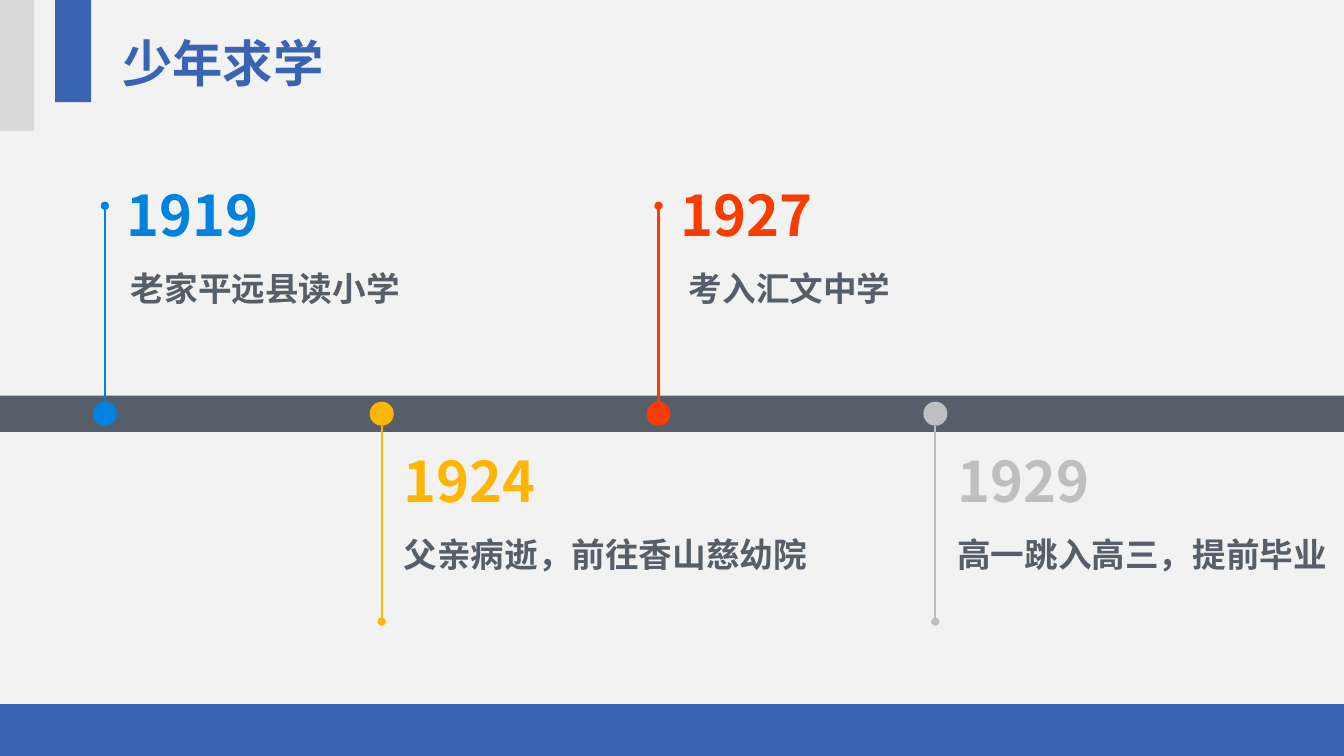
"""Build a one-slide timeline of school years."""
import pptx
import pptx.dml.color
import pptx.enum.shapes
import pptx.enum.text
import pptx.oxml.ns
import pptx.oxml.xmlchemy
import pptx.util

Pt = pptx.util.Pt
RGBColor = pptx.dml.color.RGBColor
MSO_SHAPE = pptx.enum.shapes.MSO_SHAPE
MSO_ANCHOR = pptx.enum.text.MSO_ANCHOR
OxmlElement = pptx.oxml.xmlchemy.OxmlElement
qn = pptx.oxml.ns.qn

PAPER = RGBColor(0xF2, 0xF2, 0xF2)
NAVY = RGBColor(0x38, 0x64, 0xB3)
LIGHT = RGBColor(0xD9, 0xD9, 0xD9)
SLATE = RGBColor(0x56, 0x5F, 0x69)
BLUE = RGBColor(0x00, 0x82, 0xDE)
YELLOW = RGBColor(0xFE, 0xB6, 0x01)
RED = RGBColor(0xFA, 0x3C, 0x00)
GREY = RGBColor(0xBF, 0xBF, 0xBF)

WIDTH, HEIGHT = 960, 540
AXIS, BAR, DOT, REACH = 295.5, 26, 17.2, 148.5
FIRST, STEP = 74.9, 197.75
EVENTS = [
    ("1919", "老家平远县读小学", BLUE, 3),
    ("1924", "父亲病逝，前往香山慈幼院", YELLOW, 0),
    ("1927", "考入汇文中学", RED, 6),
    ("1929", "高一跳入高三，提前毕业", GREY, 0),
]


class Deck:
    font = "Noto Sans CJK SC"

    def __init__(self, s):
        self.s = s

    def run(self, p, text, size, color):
        r = p.add_run()
        r.text = text
        r.font.size = Pt(size)
        r.font.bold = True
        r.font.name = self.font
        r.font.color.rgb = color
        ea = OxmlElement("a:ea")
        ea.set("typeface", self.font)
        r.font._element.find(qn("a:latin")).addnext(ea)

    def title(self, text, x, y, w, h, size, color):
        sp = self.s.shapes.title
        sp.left, sp.top, sp.width, sp.height = Pt(x), Pt(y), Pt(w), Pt(h)
        tf = sp.text_frame
        tf.vertical_anchor = MSO_ANCHOR.BOTTOM
        tf.auto_size = pptx.enum.text.MSO_AUTO_SIZE.NONE
        p = tf.paragraphs[0]
        p.alignment = pptx.enum.text.PP_ALIGN.LEFT
        p.line_spacing = 0.9
        self.run(p, text, size, color)

    def shape(self, kind, x, y, w, h, color):
        sp = self.s.shapes.add_shape(kind, Pt(x), Pt(y), Pt(w), Pt(h))
        sp.shadow.inherit = False
        sp.fill.solid()
        sp.fill.fore_color.rgb = color
        sp.line.fill.background()

    def stem(self, x, y1, y2, color):
        sp = self.s.shapes.add_connector(
            pptx.enum.shapes.MSO_CONNECTOR.STRAIGHT, Pt(x), Pt(y1), Pt(x), Pt(y2))
        sp.line.color.rgb = color
        sp.line.width = Pt(1.5)
        tail = OxmlElement("a:tailEnd")
        tail.set("type", "oval")
        sp.line._get_or_add_ln().append(tail)
        sp._element.spPr.append(OxmlElement("a:effectLst"))

    def text(self, text, x, y, w, h, size, color):
        tf = self.s.shapes.add_textbox(Pt(x), Pt(y), Pt(w), Pt(h)).text_frame
        tf.word_wrap = False
        tf.auto_size = pptx.enum.text.MSO_AUTO_SIZE.SHAPE_TO_FIT_TEXT
        self.run(tf.paragraphs[0], text, size, color)

    def event(self, x, side, year, note, color, shift):
        self.shape(MSO_SHAPE.OVAL, x - DOT / 2, AXIS - DOT / 2, DOT, DOT, color)
        self.stem(x, AXIS + side * DOT / 2, AXIS + side * REACH, color)
        top = AXIS - 170 if side < 0 else AXIS + 20
        left = x + DOT / 2
        self.text(note, left + shift, top + 62.6, 24 * len(note) + 16, 36, 24, SLATE)
        self.text(year, left, top, 114, 55.4, 40, color)


def main():
    prs = pptx.Presentation()
    prs.slide_width, prs.slide_height = Pt(WIDTH), Pt(HEIGHT)
    s = prs.slides.add_slide(prs.slide_layouts[5])
    s.background.fill.solid()
    s.background.fill.fore_color.rgb = PAPER

    deck = Deck(s)
    for x, y, w, h, color in [
        (0, 503, WIDTH, HEIGHT - 503, NAVY),
        (0, 0, 24.5, 93.6, LIGHT),
        (39.4, 0, 25.8, 73, NAVY),
        (0, AXIS - BAR / 2, WIDTH, BAR, SLATE),
    ]:
        deck.shape(MSO_SHAPE.RECTANGLE, x, y, w, h, color)
    deck.title("少年求学", 80, 22.3, 816, 48.2, 36, NAVY)
    for i, (year, note, color, shift) in enumerate(EVENTS):
        deck.event(FIRST + i * STEP, 1 if i % 2 else -1, year, note, color, shift)
    prs.save("out.pptx")


if __name__ == "__main__":
    main()
